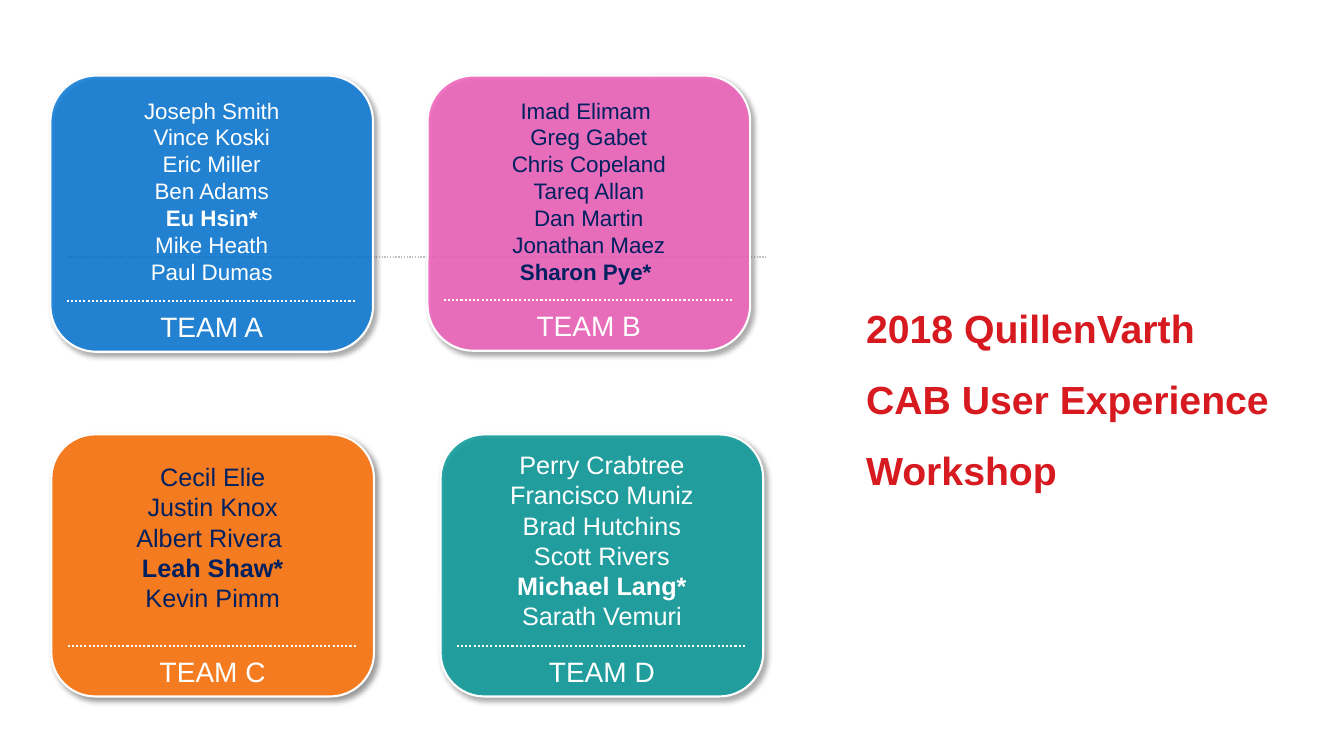
from collections import namedtuple

from pptx import Presentation
from pptx.dml.color import RGBColor
from pptx.enum.dml import MSO_LINE
from pptx.enum.shapes import MSO_CONNECTOR as Connector, MSO_SHAPE as Shape
from pptx.enum.text import MSO_ANCHOR as Anchor, PP_ALIGN as Align
from pptx.oxml.ns import qn
from pptx.util import Inches, Pt
from lxml.etree import SubElement

WHITE, NAVY, RED = "FFFFFF", "002060", "D71920"
CARD_WIDTH = 3.2

# names_drop is the gap between the top of the card and its list of names
Team = namedtuple("Team", "label left top height fill opacity ink size names_drop names")
TEAMS = [
    Team("TEAM D", 4.37, 4.31, 2.6, "009999", 80, WHITE, 18, 0.1,
         ["Perry Crabtree", "Francisco Muniz", "Brad Hutchins", "Scott Rivers",
          "Michael Lang*", "Sarath Vemuri"]),
    Team("TEAM C", 0.51, 4.31, 2.6, "F57B20", 100, NAVY, 18, 0.22,
         ["Cecil Elie", "Justin Knox", "Albert Rivera ", "Leah Shaw*", "Kevin Pimm"]),
    Team("TEAM B", 4.24, 0.75, 2.73, "F65EBE", 80, NAVY, 16, 0.16,
         ["Imad Elimam ", "Greg Gabet", "Chris Copeland", "Tareq Allan",
          "Dan Martin", "Jonathan Maez", "Sharon Pye* "]),
    Team("TEAM A", 0.5, 0.75, 2.74, "0077DA", 80, WHITE, 16, 0.16,
         ["Joseph Smith", "Vince Koski", "Eric Miller", "Ben Adams", "Eu Hsin*",
          "Mike Heath", "Paul Dumas"]),
]


def rgb(code):
    return RGBColor.from_string(code)


def write(frame, lines, size, color, bold=False, align=Align.CENTER, spacing=None):
    """Fill a text frame; a name marked with a star is set in bold."""
    frame.word_wrap = True
    frame.vertical_anchor = Anchor.TOP
    for number, line in enumerate(lines):
        paragraph = frame.add_paragraph() if number else frame.paragraphs[0]
        paragraph.alignment = align
        if spacing:
            paragraph.line_spacing = spacing
        run = paragraph.add_run()
        run.text = line
        font = run.font
        font.name, font.size = "Arial", Pt(size)
        font.bold = bold or "*" in line
        font.color.rgb = rgb(color)


def dotted_line(shapes, left, right, y, color, width):
    rule = shapes.add_connector(Connector.STRAIGHT, Inches(left), Inches(y),
                                Inches(right), Inches(y))
    rule.line.color.rgb = rgb(color)
    rule.line.width = Pt(width)
    rule.line.dash_style = MSO_LINE.ROUND_DOT
    SubElement(rule._element.spPr, qn("a:effectLst"))


def add_shadow(shape):
    shape.shadow.inherit = False
    effects = shape._element.spPr.find(qn("a:effectLst"))
    shadow = SubElement(effects, qn("a:outerShdw"), blurRad=str(Pt(4)),
                        dist=str(Pt(3)), dir="2700000", algn="tl", rotWithShape="0")
    black = SubElement(shadow, qn("a:srgbClr"), val="000000")
    SubElement(black, qn("a:alpha"), val="40000")


def add_team_card(shapes, team):
    left, bottom = team.left, team.top + team.height
    group = shapes.add_group_shape().shapes

    # Card
    card = group.add_shape(Shape.ROUNDED_RECTANGLE, Inches(left), Inches(team.top),
                           Inches(CARD_WIDTH), Inches(team.height))
    card.fill.solid()
    card.fill.fore_color.rgb = rgb(team.fill)
    if team.opacity < 100:
        fill_color = card._element.spPr.find(".//" + qn("a:srgbClr"))
        SubElement(fill_color, qn("a:alpha"), val=str(team.opacity * 1000))
    card.line.color.rgb = rgb(WHITE)
    card.line.width = Pt(1.5)
    add_shadow(card)

    # Divider and team label
    dotted_line(group, left + 0.16, left + 3.03, bottom - 0.5, WHITE, 1.5)
    label = group.add_textbox(Inches(left), Inches(bottom - 0.47),
                              Inches(CARD_WIDTH), Inches(0.44))
    write(label.text_frame, [team.label], size=20, color=WHITE)


def add_team_names(shapes, team):
    names = shapes.add_textbox(Inches(team.left), Inches(team.top + team.names_drop),
                               Inches(CARD_WIDTH), Inches(2))
    write(names.text_frame, team.names, size=team.size, color=team.ink)


def add_title(slide, left, top, width, height):
    title = slide.shapes.title
    title.left, title.top = Inches(left), Inches(top)
    title.width, title.height = Inches(width), Inches(height)
    write(title.text_frame, ["2018 QuillenVarth CAB User Experience Workshop"],
          size=28, color=RED, bold=True, align=Align.LEFT, spacing=1.5)


def main():
    deck = Presentation()
    deck.slide_width, deck.slide_height = Inches(13.33), Inches(7.5)
    slide = deck.slides.add_slide(deck.slide_layouts[5])
    add_title(slide, 8.49, 2.74, 4.33, 2.22)
    dotted_line(slide.shapes, 0.67, 7.61, 2.55, "BFBFBF", 1)
    for team in TEAMS:
        add_team_card(slide.shapes, team)
        add_team_names(slide.shapes, team)
    deck.save("out.pptx")


if __name__ == "__main__":
    main()
